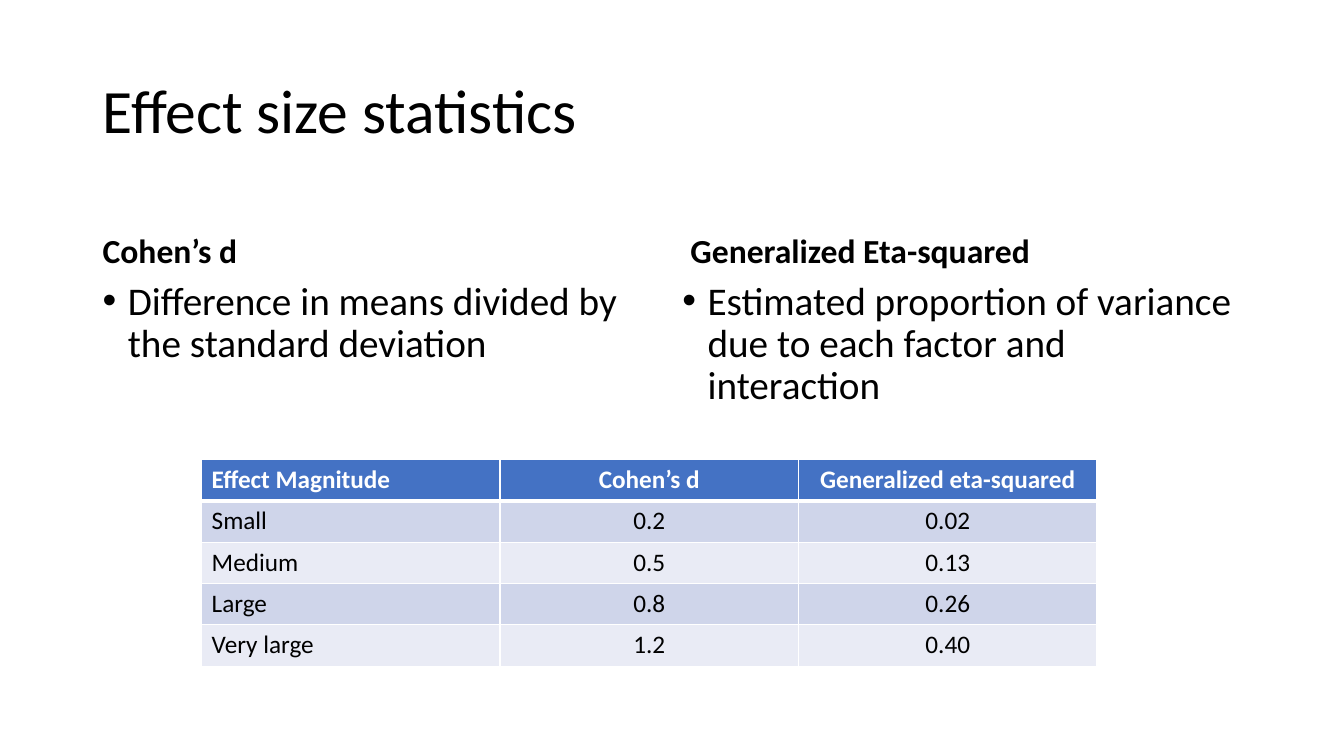
from lxml import etree
from pptx import Presentation, util as u
from pptx.dml.color import RGBColor
from pptx.enum import text
from pptx.oxml import ns

COLORS = {
    "ink": "000000",
    "paper": "FFFFFF",
    "header": "4472C4",
    "odd_row": "CFD5EA",
    "even_row": "E9EBF5",
}
PX = u.Inches(1) // 100
BULLET_INDENT = 25
LEFT, CENTER = text.PP_ALIGN.LEFT, text.PP_ALIGN.CENTER
TOP, MIDDLE, BOTTOM = text.MSO_ANCHOR.TOP, text.MSO_ANCHOR.MIDDLE, text.MSO_ANCHOR.BOTTOM


def apply(target, values):
    for name, value in values.items():
        setattr(target, name, value)


def color(name):
    return RGBColor.from_string(COLORS[name])


class SlideBuilder:
    font_name = "Calibri"

    def __init__(self, slide):
        self.slide = slide

    def add_words(self, paragraph, words, size, bold=False, ink="ink", **layout):
        apply(paragraph, layout)
        run = paragraph.add_run()
        run.text = words
        apply(run.font, {"name": self.font_name, "size": u.Pt(size), "bold": bold})
        run.font.color.rgb = color(ink)

    def fill_frame(self, frame, words, size, anchor, bold=False):
        apply(frame, {
            "word_wrap": True,
            "auto_size": text.MSO_AUTO_SIZE.NONE,
            "vertical_anchor": anchor,
        })
        self.add_words(frame.paragraphs[0], words, size, bold,
                       alignment=LEFT, line_spacing=0.9, space_before=u.Pt(0))

    def title(self, words, left, top, width, height):
        title = self.slide.shapes.title
        apply(title, {"left": left * PX, "top": top * PX,
                      "width": width * PX, "height": height * PX})
        self.fill_frame(title.text_frame, words, 44, MIDDLE)

    def text_box(self, words, left, top, width, height, size, anchor, bold=False):
        box = self.slide.shapes.add_textbox(*(n * PX for n in (left, top, width, height)))
        self.fill_frame(box.text_frame, words, size, anchor, bold)
        return box.text_frame.paragraphs[0]

    def heading(self, words, left, top, width, height):
        self.text_box(words, left, top, width, height, 24, BOTTOM, bold=True)

    def bullet(self, words, left, top, width, height):
        paragraph = self.text_box(words, left, top, width, height, 28, TOP)
        properties = paragraph._p.get_or_add_pPr()
        properties.set("marL", str(BULLET_INDENT * PX))
        properties.set("indent", str(-BULLET_INDENT * PX))
        etree.SubElement(properties, ns.qn("a:buFont"), typeface="Arial")
        etree.SubElement(properties, ns.qn("a:buChar"), char="•")

    def borders(self, cell, top, bottom):
        properties = cell._tc.get_or_add_tcPr()
        for side, points in {"L": 1, "R": 1, "T": top, "B": bottom}.items():
            line = etree.SubElement(properties, ns.qn(f"a:ln{side}"), w=str(u.Pt(points)))
            fill = etree.SubElement(line, ns.qn("a:solidFill"))
            etree.SubElement(fill, ns.qn("a:srgbClr"), val=COLORS["paper"])

    def table(self, rows, left, top, column_width, row_height):
        columns = len(rows[0])
        table = self.slide.shapes.add_table(
            len(rows), columns, left * PX, top * PX,
            columns * column_width * PX, len(rows) * row_height * PX).table
        for r, row in enumerate(rows):
            is_header = r == 0
            background = "header" if is_header else "odd_row" if r % 2 else "even_row"
            for c, words in enumerate(row):
                cell = table.cell(r, c)
                self.borders(cell, top=3 if r == 1 else 1, bottom=3 if is_header else 1)
                cell.fill.solid()
                cell.fill.fore_color.rgb = color(background)
                self.add_words(cell.text_frame.paragraphs[0], words, 18, is_header,
                               "paper" if is_header else "ink",
                               alignment=CENTER if c else LEFT)


def main():
    deck = Presentation()
    apply(deck, {"slide_width": u.Inches(13.33), "slide_height": u.Inches(7.5)})
    builder = SlideBuilder(deck.slides.add_slide(deck.slide_layouts.get_by_name("Title Only")))

    builder.title("Effect size statistics", 92, 40, 1150, 145)
    builder.heading("Cohen’s d", 92, 184, 564, 90)
    builder.bullet("Difference in means divided by the standard deviation", 92, 274, 564, 403)
    builder.heading("Generalized Eta-squared", 675, 184, 567, 90)
    builder.table([
        ("Effect Magnitude", "Cohen’s d", "Generalized eta-squared"),
        ("Small", "0.2", "0.02"),
        ("Medium", "0.5", "0.13"),
        ("Large", "0.8", "0.26"),
        ("Very large", "1.2", "0.40"),
    ], 200, 456, 296, 41)
    builder.bullet("Estimated proportion of variance due to each factor and interaction",
                   667, 274, 564, 403)
    deck.save("out.pptx")


if __name__ == "__main__":
    main()
